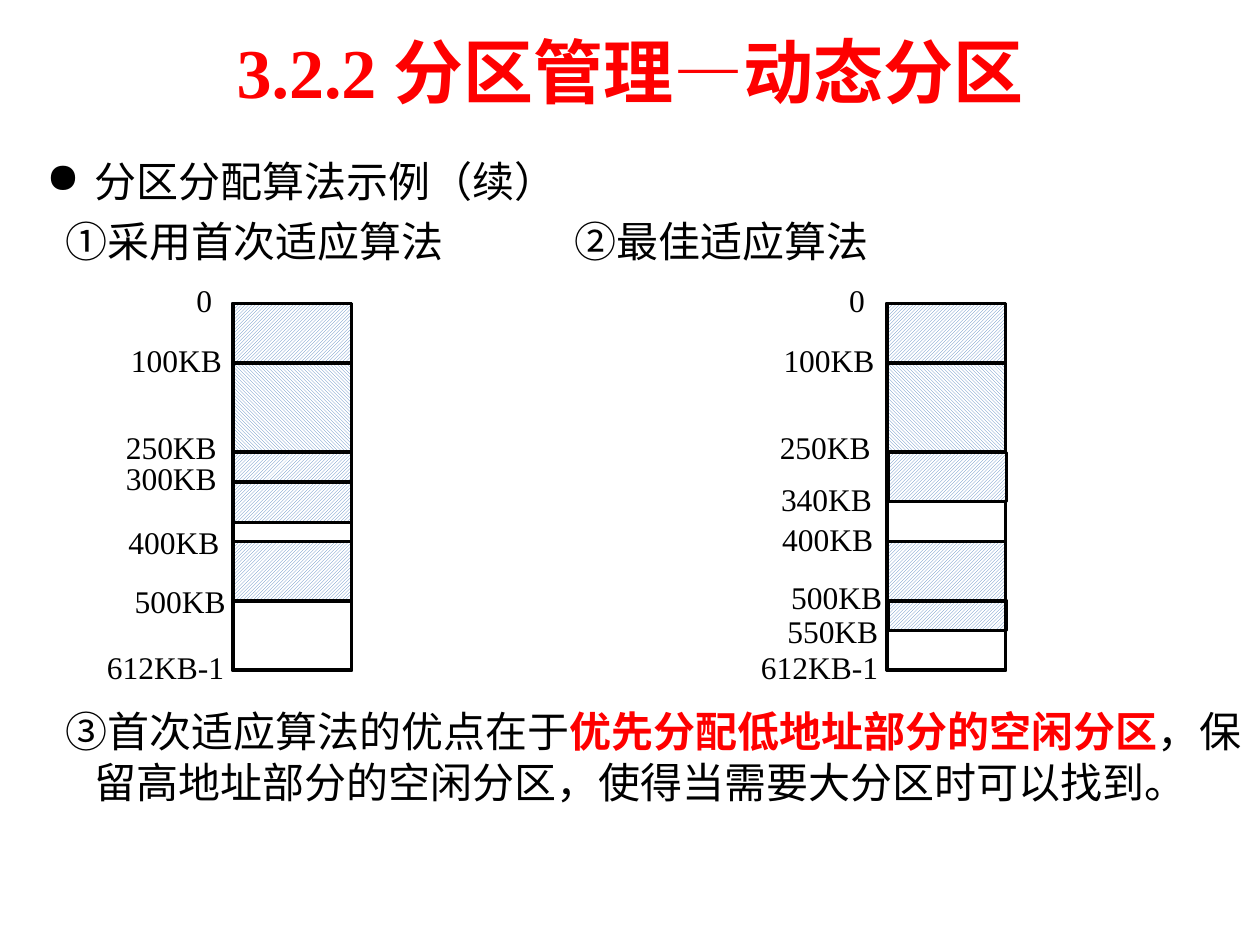
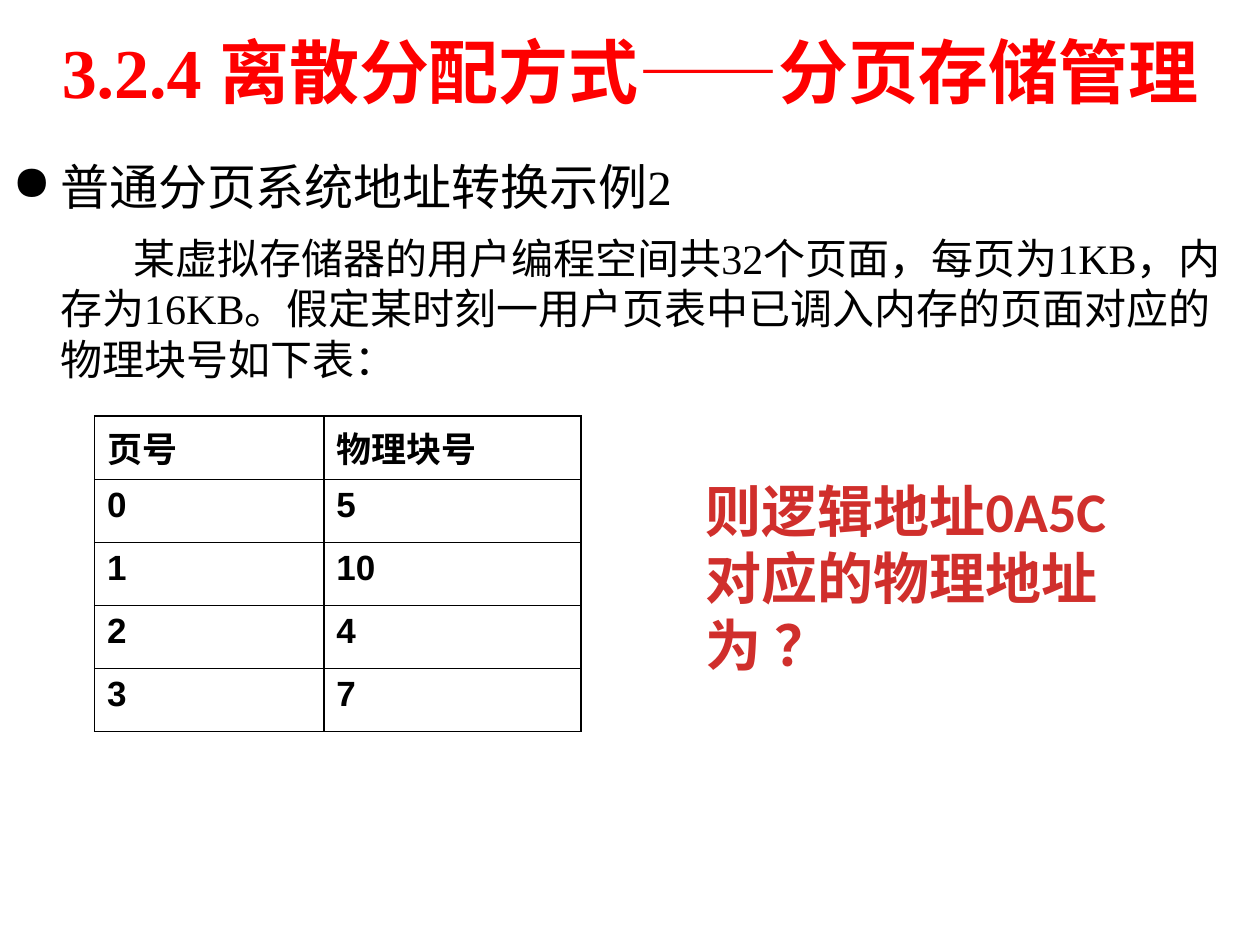
import pptx
import pptx.util
import pptx.dml.color
import pptx.enum.dml
import pptx.enum.shapes
import pptx.enum.text
import pptx.oxml.ns
from lxml import etree

# ---- Shared style ----
SERIF, CJK = "Times New Roman", "Noto Sans CJK SC"
BLACK, WHITE, TITLE_RED, RED = "000000", "FFFFFF", "FE0000", "FF0000"
QUESTION_RED, HATCH_BLUE = "D02F2C", "4F81BD"
UP = pptx.enum.dml.MSO_PATTERN.LIGHT_UPWARD_DIAGONAL
DOWN = pptx.enum.dml.MSO_PATTERN.LIGHT_DOWNWARD_DIAGONAL

# ---- Slide 1: partitions ----
PARTITION_TITLE = "3.2.2 分区管理—动态分区"
EXAMPLE_HEADING = "分区分配算法示例（续）"
ADVANTAGE = [
    ("③首次适应算法的优点在于", {}),
    ("优先分配低地址部分的空闲分区", {"color": RED, "bold": True}),
    ("，保留高地址部分的空闲分区，使得当需要大分区时可以找到。", {}),
]
BAR_TOP, BAR_WIDTH, INCHES_PER_KB, MEMORY_END = 2.41, 0.94, 0.00472, 616

# Blocks: start and end as drawn in KB, hatch, shift right.
# Labels: text, distance left of the bar, top.
MEMORY_MAPS = [
    {
        "caption": "①采用首次适应算法", "caption_left": 0.42, "bar_left": 1.85,
        "blocks": [(0, 100, UP, 0), (100, 250, DOWN, 0), (250, 300, UP, 0),
                   (300, 400, None, 0), (400, 500, UP, 0),
                   (500, MEMORY_END, None, 0), (300, 368, UP, 0)],
        "labels": [("0", 0.39, 2.18), ("100KB", 0.91, 2.66), ("250KB", 0.95, 3.35),
                   ("300KB", 0.95, 3.59), ("400KB", 0.93, 4.1),
                   ("500KB", 0.88, 4.57), ("612KB-1", 1.1, 5.09)],
    },
    {
        "caption": "②最佳适应算法", "caption_left": 4.46, "bar_left": 7.04,
        "blocks": [(0, 100, UP, 0), (100, 250, DOWN, 0), (500, 550, UP, 0.01),
                   (400, 500, UP, 0), (500, MEMORY_END, None, 0),
                   (250, 333, UP, 0.01)],
        "labels": [("0", 0.4, 2.18), ("100KB", 0.92, 2.66), ("250KB", 0.95, 3.35),
                   ("340KB", 0.94, 3.76), ("400KB", 0.93, 4.08), ("500KB", 0.86, 4.54),
                   ("550KB", 0.89, 4.81), ("612KB-1", 1.1, 5.09)],
    },
]

# ---- Slide 2: paging ----
PAGING_TITLE = "3.2.4 离散分配方式——分页存储管理"
PAGING_HEADING = "普通分页系统地址转换示例2"
PAGING_PROBLEM = ("某虚拟存储器的用户编程空间共32个页面，每页为1KB，内存为16KB。"
                  "假定某时刻一用户页表中已调入内存的页面对应的物理块号如下表：")
QUESTION = "则逻辑地址0A5C对应的物理地址为 ？"
PAGE_TABLE = [("页号", "物理块号"), ("0", "5"), ("1", "10"), ("2", "4"), ("3", "7")]
PAGE_COLUMNS, PAGE_ROW = (1.82, 2.04), 0.5


def inches(*lengths):
    return [pptx.util.Inches(length) for length in lengths]


def rgb(hex_color):
    return pptx.dml.color.RGBColor.from_string(hex_color)


def write(frame, text, size=24, font=SERIF, color=BLACK, bold=False, align="LEFT",
          line=None, margin=0, indent=0, bullet=None):
    """Fill a frame with one paragraph; text is a string or (text, format) runs."""
    frame.word_wrap = True
    frame.auto_size = pptx.enum.text.MSO_AUTO_SIZE.NONE
    paragraph = frame.paragraphs[0]
    paragraph.alignment = pptx.enum.text.PP_ALIGN[align]
    if line:
        paragraph.line_spacing = pptx.util.Pt(line)
    properties = paragraph._p.get_or_add_pPr()
    properties.set("marL", str(pptx.util.Inches(margin)))
    properties.set("indent", str(pptx.util.Inches(indent)))
    if bullet:
        mark = etree.SubElement(properties, pptx.oxml.ns.qn("a:buChar"))
        mark.set("char", bullet)
    for words, changes in [(text, {})] if isinstance(text, str) else text:
        run = paragraph.add_run()
        run.text = words
        run.font.size = pptx.util.Pt(size)
        run.font.name = font
        run.font.bold = changes.get("bold", bold)
        run.font.color.rgb = rgb(changes.get("color", color))
        east_asian = etree.SubElement(run._r.get_or_add_rPr(), pptx.oxml.ns.qn("a:ea"))
        east_asian.set("typeface", CJK)


def add_text(slide, text, left, top, width, height, **style):
    box = slide.shapes.add_textbox(*inches(left, top, width, height))
    write(box.text_frame, text, **style)


def add_titled_slide(deck, title, left):
    slide = deck.slides.add_slide(deck.slide_layouts[5])
    holder = slide.shapes.title
    holder.left, holder.top, holder.width, holder.height = inches(
        left, 0.05, 10 - 2 * left, 1.02)
    holder.text_frame.vertical_anchor = pptx.enum.text.MSO_ANCHOR.MIDDLE
    write(holder.text_frame, title, size=40, color=TITLE_RED, bold=True, align="CENTER")
    return slide


def add_block(slide, bar_left, start, end, hatch=None, shift=0):
    block = slide.shapes.add_shape(
        pptx.enum.shapes.MSO_SHAPE.RECTANGLE,
        *inches(bar_left + shift, BAR_TOP + start * INCHES_PER_KB,
                BAR_WIDTH, (end - start) * INCHES_PER_KB))
    block.shadow.inherit = False
    block.line.color.rgb = rgb(BLACK)
    block.line.width = pptx.util.Pt(2)
    if hatch is None:
        block.fill.background()
    else:
        block.fill.patterned()
        block.fill.pattern = hatch
        block.fill.fore_color.rgb = rgb(HATCH_BLUE)
        block.fill.back_color.rgb = rgb(WHITE)


def add_memory_map(slide, memory):
    add_text(slide, memory["caption"], memory["caption_left"], 1.66, 4, 0.5, line=29)
    bar_left = memory["bar_left"]
    add_block(slide, bar_left, 0, MEMORY_END)
    for block in memory["blocks"]:
        add_block(slide, bar_left, *block)
    for address, distance, top in memory["labels"]:
        add_text(slide, address, bar_left - distance, top, 1.25, 0.4, size=18)


def border_cell(cell):
    properties = cell._tc.get_or_add_tcPr()
    for position, side in enumerate(("lnL", "lnR", "lnT", "lnB")):
        edge = etree.Element(pptx.oxml.ns.qn("a:" + side), w=str(pptx.util.Pt(1)))
        fill = etree.SubElement(edge, pptx.oxml.ns.qn("a:solidFill"))
        etree.SubElement(fill, pptx.oxml.ns.qn("a:srgbClr"), val=BLACK)
        properties.insert(position, edge)


def add_page_table(slide):
    table = slide.shapes.add_table(
        len(PAGE_TABLE), len(PAGE_COLUMNS),
        *inches(0.75, 3.3, sum(PAGE_COLUMNS), PAGE_ROW * len(PAGE_TABLE))).table
    table.first_row = table.horz_banding = False
    for column, width in zip(table.columns, PAGE_COLUMNS):
        column.width = pptx.util.Inches(width)
    for row, values in enumerate(PAGE_TABLE):
        for column, value in enumerate(values):
            cell = table.cell(row, column)
            cell.fill.background()
            border_cell(cell)
            write(cell.text_frame, value, size=20, font="Arial", bold=True)


def main():
    deck = pptx.Presentation()
    deck.slide_width, deck.slide_height = inches(10, 7.5)

    # Dynamic partitions
    partitions = add_titled_slide(deck, PARTITION_TITLE, 0.5)
    add_text(partitions, EXAMPLE_HEADING, 0.27, 1.18, 9.73, 0.5,
             line=29, margin=0.38, indent=-0.38, bullet="●")
    for memory in MEMORY_MAPS:
        add_memory_map(partitions, memory)
    add_text(partitions, ADVANTAGE, 0.27, 5.55, 9.73, 0.95,
             line=29, margin=0.38, indent=-0.23)

    # Paged storage
    paging = add_titled_slide(deck, PAGING_TITLE, 0)
    add_text(paging, PAGING_HEADING, 0, 1.19, 10, 0.57,
             size=28, line=34, margin=0.38, indent=-0.38, bullet="●")
    add_text(paging, PAGING_PROBLEM, 0, 1.79, 10, 1.35,
             line=29, margin=0.38, indent=0.58)
    add_page_table(paging)
    add_text(paging, QUESTION, 5.5, 3.73, 3.6, 1.7, size=32, font="Calibri",
             color=QUESTION_RED, bold=True, line=38.4)

    deck.save("out.pptx")


if __name__ == "__main__":
    main()
